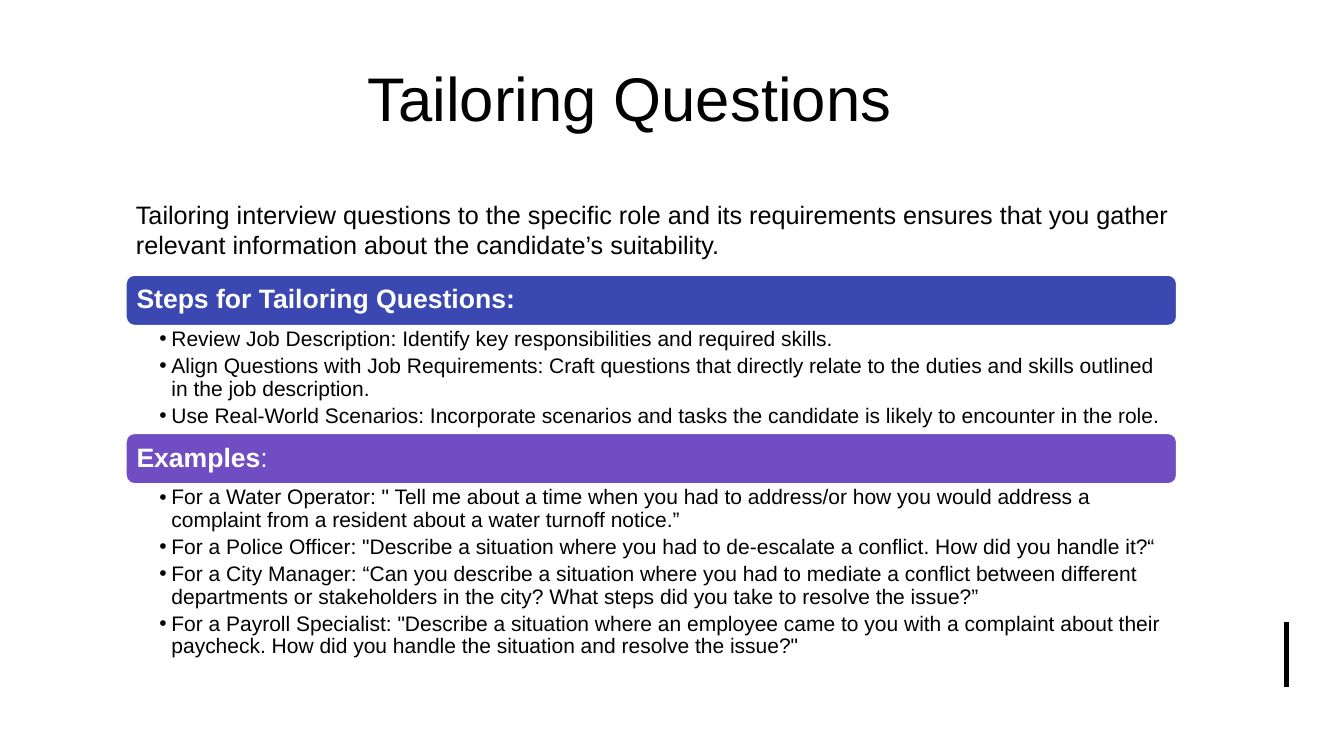
from dataclasses import dataclass

from lxml import etree
from pptx import Presentation
from pptx.dml.color import RGBColor
from pptx.enum.shapes import MSO_CONNECTOR, MSO_SHAPE
from pptx.enum.text import MSO_ANCHOR, PP_ALIGN
from pptx.oxml.ns import qn
from pptx.util import Inches, Pt

RECTANGLE, ROUNDED = MSO_SHAPE.RECTANGLE, MSO_SHAPE.ROUNDED_RECTANGLE
STRAIGHT = MSO_CONNECTOR.STRAIGHT
MIDDLE, TOP = MSO_ANCHOR.MIDDLE, MSO_ANCHOR.TOP
LEFT, CENTER = PP_ALIGN.LEFT, PP_ALIGN.CENTER


@dataclass(frozen=True)
class Theme:
    """Colours, font and type sizes of the slide."""
    font: str = "Arial"
    black: RGBColor = RGBColor(0, 0, 0)
    white: RGBColor = RGBColor(255, 255, 255)
    blue: RGBColor = RGBColor(0x3B, 0x48, 0xB1)
    purple: RGBColor = RGBColor(0x71, 0x4D, 0xC3)
    title: int = 44
    intro: int = 18
    header: int = 19
    bullet: int = 15


THEME = Theme()
SLIDE_WIDTH, SLIDE_HEIGHT = 13.33, 7.5
BAND_HEIGHT = 1.8
HEADER_HEIGHT = 0.5
TITLE = "Tailoring Questions"
INTRO = ("Tailoring interview questions to the specific role and its requirements ensures "
         "that you gather relevant information about the candidate’s suitability.")
SECTIONS = [
    (THEME.blue, [("Steps for Tailoring Questions:", True)], 1.07, [
        "Review Job Description: Identify key responsibilities and required skills.",
        "Align Questions with Job Requirements: Craft questions that directly relate to the "
        "duties and skills outlined in the job description.",
        "Use Real-World Scenarios: Incorporate scenarios and tasks the candidate is likely "
        "to encounter in the role.",
    ]),
    (THEME.purple, [("Examples", True), (":", False)], 1.81, [
        "For a Water Operator: \" Tell me about a time when you had to address/or how you "
        "would address a complaint from a resident about a water turnoff notice.”",
        "For a Police Officer: \"Describe a situation where you had to de-escalate a conflict. "
        "How did you handle it?“",
        "For a City Manager: “Can you describe a situation where you had to mediate a conflict "
        "between different departments or stakeholders in the city? What steps did you take to "
        "resolve the issue?”",
        "For a Payroll Specialist: \"Describe a situation where an employee came to you with a "
        "complaint about their paycheck. How did you handle the situation and resolve the issue?\"",
    ]),
]


def add_run(paragraph, text, size, color, bold=False):
    """Append one styled run to a paragraph."""
    run = paragraph.add_run()
    run.text = text
    run.font.name = THEME.font
    run.font.size = Pt(size)
    run.font.bold = bold
    run.font.color.rgb = color


def set_frame(shape, anchor, insets):
    """Wrap the shape's text and set its anchor and insets."""
    frame = shape.text_frame
    frame.word_wrap = True
    frame.vertical_anchor = anchor
    (frame.margin_left, frame.margin_top,
     frame.margin_right, frame.margin_bottom) = map(Inches, insets)
    return frame


def add_panel(slide, preset, box, color):
    """Place a filled shape without shadow or outline."""
    panel = slide.shapes.add_shape(preset, *map(Inches, box))
    panel.shadow.inherit = False
    panel.fill.solid()
    panel.fill.fore_color.rgb = color
    panel.line.fill.background()
    return panel


def add_text(slide, box, text, size, anchor=TOP, alignment=LEFT):
    """Place a single-paragraph text box."""
    shape = slide.shapes.add_textbox(*map(Inches, box))
    paragraph = set_frame(shape, anchor, (0.1, 0.05, 0.1, 0.05)).paragraphs[0]
    paragraph.alignment = alignment
    add_run(paragraph, text, size, THEME.black)


def add_header(slide, box, color, runs):
    """Place a rounded section header bar."""
    bar = add_panel(slide, ROUNDED, box, color)
    bar.line.color.rgb = THEME.white
    bar.line.width = Pt(1)
    paragraph = set_frame(bar, MIDDLE, (0.08, 0.08, 0.08, 0.08)).paragraphs[0]
    paragraph.alignment = LEFT
    paragraph.line_spacing = 0.9
    for text, bold in runs:
        add_run(paragraph, text, THEME.header, THEME.white, bold)


def add_bullets(slide, box, items):
    """Place a bulleted list."""
    shape = slide.shapes.add_textbox(*map(Inches, box))
    frame = set_frame(shape, TOP, (0.33, 0.03, 0.15, 0.03))
    for index, item in enumerate(items):
        paragraph = frame.add_paragraph() if index else frame.paragraphs[0]
        paragraph.line_spacing = 0.9
        paragraph.space_after = Pt(THEME.bullet * 0.2)
        properties = paragraph._p.get_or_add_pPr()
        properties.set("marL", str(Inches(0.12)))
        properties.set("indent", str(Inches(-0.12)))
        etree.SubElement(properties, qn("a:buFont")).set("typeface", THEME.font)
        etree.SubElement(properties, qn("a:buChar")).set("char", "•")
        paragraph.font.size = Pt(THEME.bullet)
        add_run(paragraph, item, THEME.bullet, THEME.black)


def add_sections(slide, left, top, width):
    """Stack each section's header and bullets downwards."""
    for color, runs, list_height, items in SECTIONS:
        add_header(slide, (left, top, width, HEADER_HEIGHT), color, runs)
        top += HEADER_HEIGHT
        add_bullets(slide, (left, top, width, list_height), items)
        top += list_height


def add_accent(slide, left, top, height):
    """Draw the vertical accent line."""
    line = slide.shapes.add_connector(
        STRAIGHT, *map(Inches, (left, top, left, top + height)))
    line.line.color.rgb = THEME.black
    line.line.width = Pt(3)
    etree.SubElement(line._element.spPr, qn("a:effectLst"))


def main():
    """Build and save the presentation."""
    presentation = Presentation()
    presentation.slide_width = Inches(SLIDE_WIDTH)
    presentation.slide_height = Inches(SLIDE_HEIGHT)
    slide = presentation.slides.add_slide(presentation.slide_layouts[6])
    for height in (SLIDE_HEIGHT, BAND_HEIGHT):
        add_panel(slide, RECTANGLE, (0, 0, SLIDE_WIDTH, height), THEME.white)
    add_text(slide, (0.83, 0.33, 10.83, 1.27), TITLE, THEME.title, MIDDLE, CENTER)
    add_accent(slide, 12.76, 6.17, 0.65)
    add_sections(slide, 1.25, 2.73, 10.42)
    add_text(slide, (1.25, 1.93, 10.56, 0.71), INTRO, THEME.intro)
    presentation.save("out.pptx")


if __name__ == "__main__":
    main()
